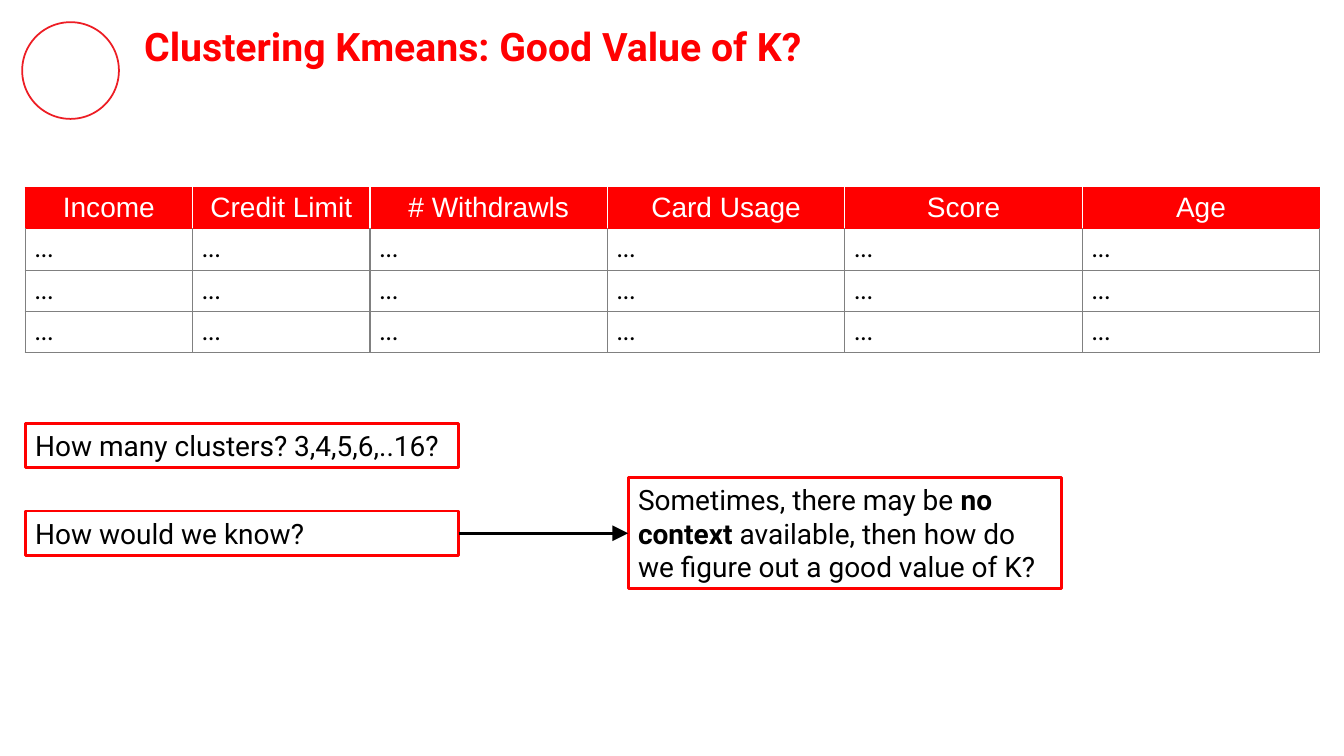
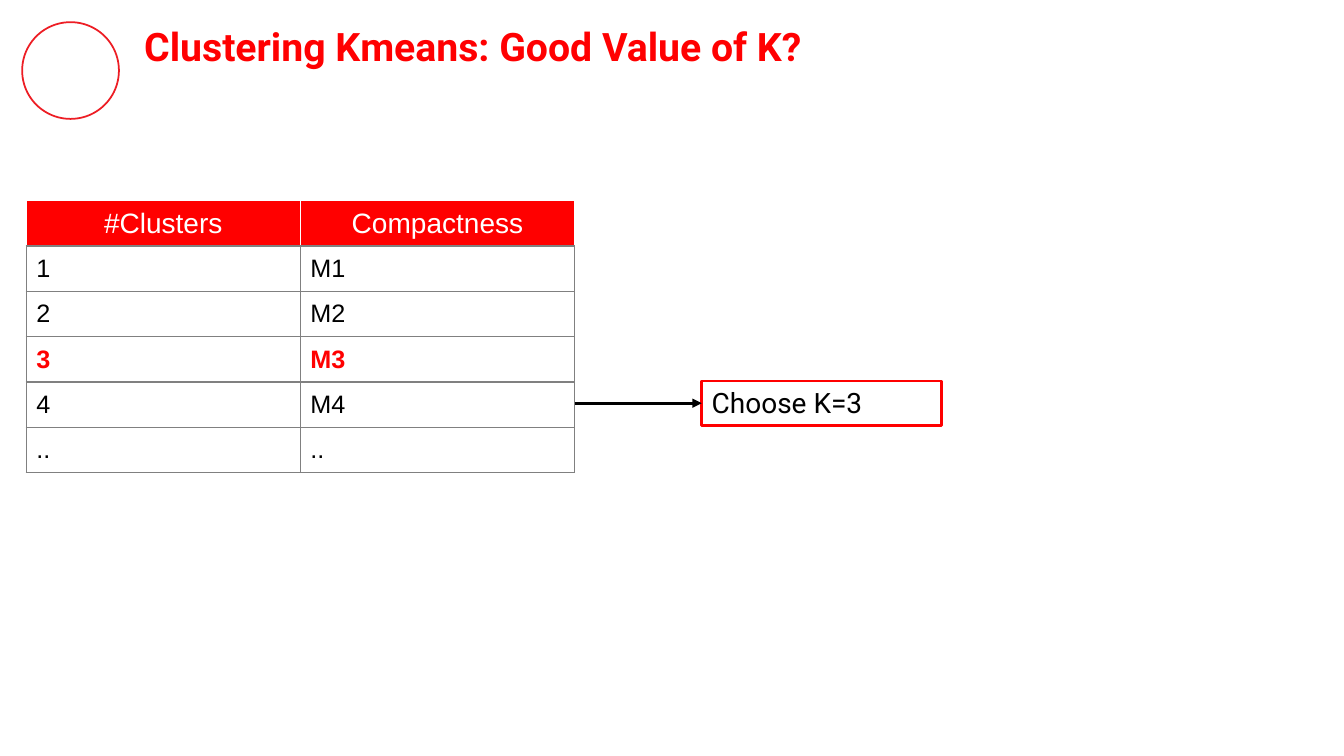
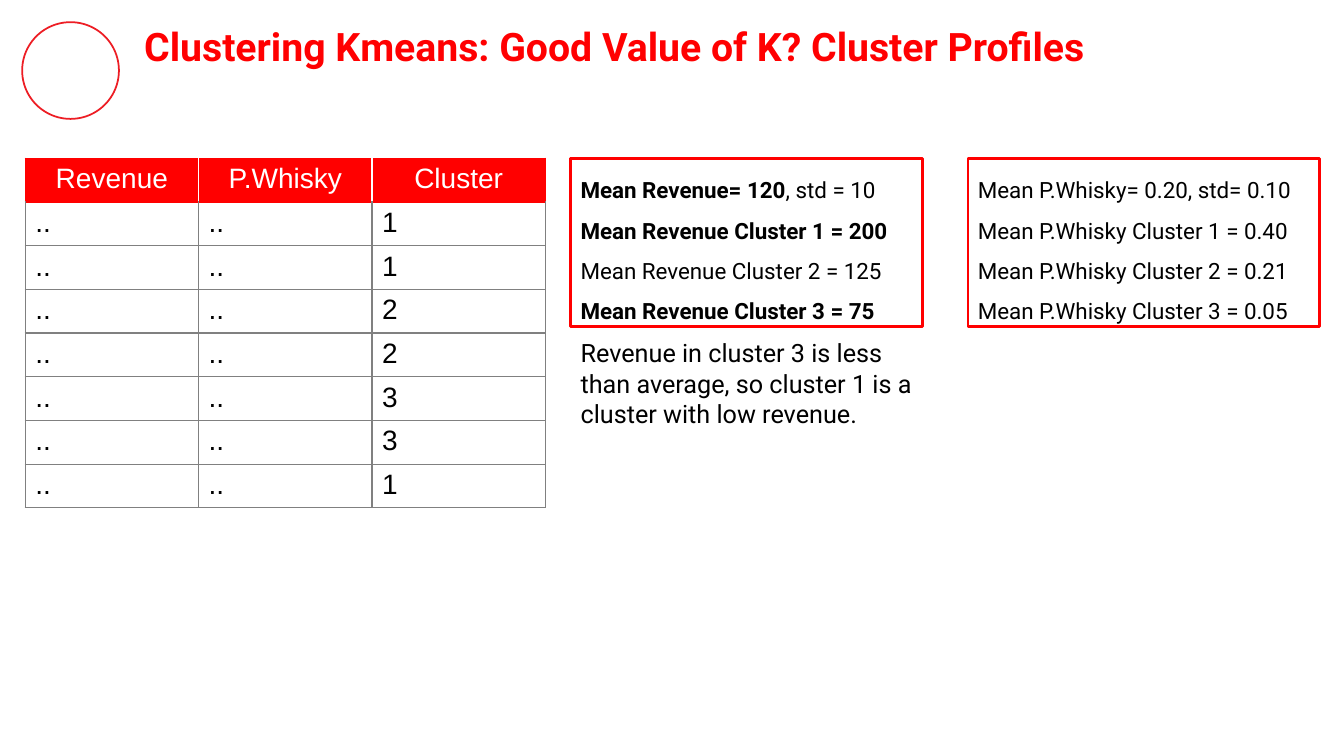
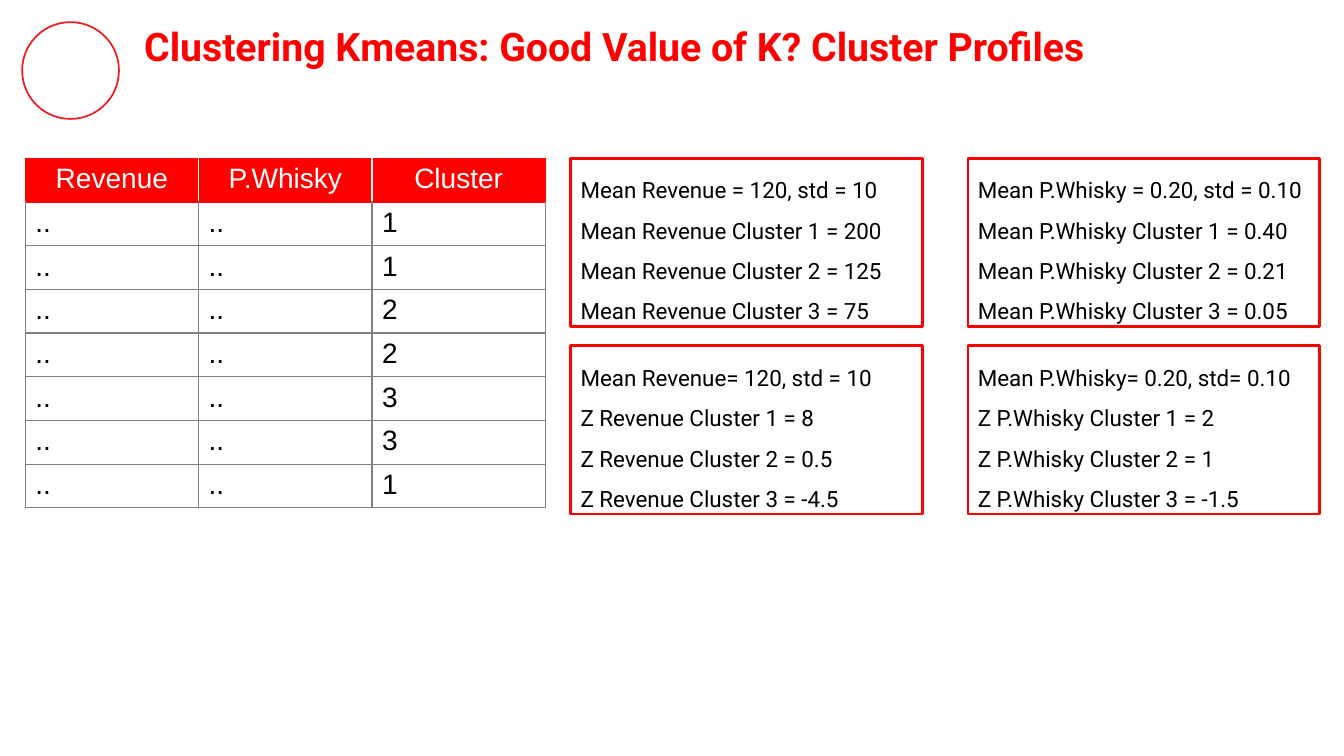
"""Builds four slides on choosing a good value of K in K-means clustering."""
from pptx import Presentation
from pptx.dml.color import RGBColor
from pptx.enum.shapes import MSO_CONNECTOR, MSO_SHAPE
from pptx.enum.text import MSO_ANCHOR, MSO_AUTO_SIZE, PP_ALIGN
from pptx.oxml.ns import qn
from pptx.util import Inches, Pt
from lxml.etree import SubElement

RED = RGBColor(0xFF, 0x00, 0x00)
TITLE_RED = RGBColor(0xFF, 0x00, 0x01)
RING_RED = RGBColor(0xED, 0x1D, 0x24)
WHITE = RGBColor(0xFF, 0xFF, 0xFF)
BLACK = RGBColor(0x00, 0x00, 0x00)
GREY = RGBColor(0x80, 0x80, 0x80)

TITLE = "Clustering Kmeans: Good Value of K?"
PROFILE_TITLE = TITLE + " Cluster Profiles"

CUSTOMERS = [["Income", "Credit Limit", "# Withdrawls", "Card Usage", "Score", "Age"]] + [["…"] * 6] * 3
COMPACTNESS = [["#Clusters", "Compactness"], ["1", "M1"], ["2", "M2"], ["3", "M3"], ["4", "M4"], ["..", ".."]]
ASSIGNED = [["Revenue", "P.Whisky", "Cluster"]] + [["..", "..", c] for c in "1122331"]

WHISKY_MEANS = [
    "Mean P.Whisky Cluster 1 = 0.40",
    "Mean P.Whisky Cluster 2 = 0.21",
    "Mean P.Whisky Cluster 3 = 0.05",
]
HIGHLIGHTED_PROFILES = [[
    [
        "**Mean Revenue= 120**, std = 10",
        "**Mean Revenue Cluster 1 = 200**",
        "Mean Revenue Cluster 2 = 125",
        "**Mean Revenue Cluster 3 = 75**",
    ],
    ["Mean P.Whisky= 0.20, std= 0.10"] + WHISKY_MEANS,
]]
Z_PROFILES = [
    [
        [
            "Mean Revenue = 120, std = 10",
            "Mean Revenue Cluster 1 = 200",
            "Mean Revenue Cluster 2 = 125",
            "Mean Revenue Cluster 3 = 75",
        ],
        ["Mean P.Whisky = 0.20, std = 0.10"] + WHISKY_MEANS,
    ],
    [
        [
            "Mean Revenue= 120, std = 10",
            "Z Revenue Cluster 1 = 8",
            "Z Revenue Cluster 2 = 0.5",
            "Z Revenue Cluster 3 = -4.5",
        ],
        [
            "Mean P.Whisky= 0.20, std= 0.10",
            "Z P.Whisky Cluster 1 = 2",
            "Z P.Whisky Cluster 2 = 1",
            "Z P.Whisky Cluster 3 = -1.5",
        ],
    ],
]
REVENUE_NOTE = "Revenue in cluster 3 is less than average, so cluster 1 is a cluster with low revenue."

LEFT = 0.25
PROFILE_TOP, PROFILE_LEFT = 1.57, 5.66
PROFILE_W, PROFILE_H = 3.49, 1.67
PROFILE_DX, PROFILE_DY = 3.94, 1.86


def style(r, size, color, font="Roboto", bold=False):
    r.font.name = font
    r.font.size = Pt(size)
    r.font.color.rgb = color
    r.font.bold = bold


def prepare_layout(prs):
    layout = prs.slide_layouts[5]
    title = layout.placeholders[0]
    title.left, title.top = Inches(1.33), Inches(0.12)
    title.width, title.height = Inches(11.18), Inches(0.67)
    tf = title.text_frame
    tf.vertical_anchor = MSO_ANCHOR.TOP
    tf.auto_size = MSO_AUTO_SIZE.NONE
    tf.margin_left = tf.margin_right = tf.margin_top = tf.margin_bottom = Inches(0.1)
    return layout


def add_ring(s, layout):
    ring = s.shapes.add_shape(MSO_SHAPE.OVAL, Inches(0.22), Inches(0.22), Inches(0.96), Inches(0.96))
    ring.shadow.inherit = False
    ring.fill.background()
    ring.line.color.rgb = RING_RED
    ring.line.width = Pt(1.25)
    layout.shapes.element.append(ring.element)


def add_slide(prs, layout, title):
    s = prs.slides.add_slide(layout)
    p = s.shapes.title.text_frame.paragraphs[0]
    p.text = title
    p.alignment = PP_ALIGN.LEFT
    style(p.runs[0], 28, TITLE_RED, bold=True)
    return s


def fill_text(tf, lines, size, spacing):
    tf.word_wrap = True
    tf.vertical_anchor = MSO_ANCHOR.TOP
    tf.auto_size = MSO_AUTO_SIZE.SHAPE_TO_FIT_TEXT
    for i, line in enumerate(lines):
        p = tf.add_paragraph() if i else tf.paragraphs[0]
        p.alignment = PP_ALIGN.LEFT
        p.line_spacing = spacing
        for j, part in enumerate(line.split("**")):
            if part:
                r = p.add_run()
                r.text = part
                style(r, size, BLACK, bold=j % 2 == 1)


def add_box(s, x, y, w, h, lines, size=20, spacing=1.0):
    sp = s.shapes.add_shape(MSO_SHAPE.RECTANGLE, Inches(x), Inches(y), Inches(w), Inches(h))
    sp.shadow.inherit = False
    sp.fill.solid()
    sp.fill.fore_color.rgb = WHITE
    sp.line.color.rgb = RED
    sp.line.width = Pt(2)
    fill_text(sp.text_frame, lines, size, spacing)
    return sp


def add_arrow(s, x, y, target, head="med"):
    line = s.shapes.add_connector(MSO_CONNECTOR.STRAIGHT, Inches(x), Inches(y), target.left, Inches(y))
    line.end_connect(target, 1)
    line.line.color.rgb = BLACK
    line.line.width = Pt(2.25)
    SubElement(line.line._get_or_add_ln(), qn("a:tailEnd"), type="triangle", w=head, len=head)
    SubElement(line.element.spPr, qn("a:effectLst"))


def set_borders(cell, colors):
    for side, color in zip("LRTB", colors):
        ln = SubElement(cell._tc.get_or_add_tcPr(), qn("a:ln" + side), w=str(Pt(1)))
        SubElement(SubElement(ln, qn("a:solidFill")), qn("a:srgbClr"), val=str(color))


def add_grid(s, x, y, widths, row_h, rows, edge=RED, base=RED, body=("Arial", 20),
             anchor=MSO_ANCHOR.TOP, strong_row=None):
    table = s.shapes.add_table(len(rows), len(widths), Inches(x), Inches(y),
                               Inches(sum(widths)), Inches(row_h * len(rows))).table
    table.first_row = table.horz_banding = False
    for col, w in zip(table.columns, widths):
        col.width = Inches(w)
    last = len(widths) - 1
    for i, row in enumerate(rows):
        table.rows[i].height = Inches(row_h)
        for j, text in enumerate(row):
            cell = table.cell(i, j)
            if i == 0:
                set_borders(cell, (WHITE if j else edge, WHITE if j < last else edge, edge, base))
            else:
                set_borders(cell, (GREY, GREY, base if i == 1 else GREY, GREY))
            cell.fill.solid()
            cell.fill.fore_color.rgb = WHITE if i else RED
            cell.vertical_anchor = anchor
            p = cell.text_frame.paragraphs[0]
            p.text = text
            if i == 0:
                p.alignment = PP_ALIGN.CENTER
                style(p.runs[0], 20, WHITE, "Arial")
            else:
                strong = i == strong_row
                style(p.runs[0], body[1], RED if strong else BLACK, body[0], strong)


def add_profile_slide(prs, layout, profiles):
    s = add_slide(prs, layout, PROFILE_TITLE)
    add_grid(s, LEFT, PROFILE_TOP, [1.72] * 3, 3.47 / len(ASSIGNED), ASSIGNED)
    for i, row in enumerate(profiles):
        for j, lines in enumerate(row):
            add_box(s, PROFILE_LEFT + j * PROFILE_DX, PROFILE_TOP + i * PROFILE_DY,
                    PROFILE_W, PROFILE_H, lines, 16, 1.5)
    return s


def main():
    prs = Presentation()
    prs.slide_width, prs.slide_height = Inches(13.33), Inches(7.5)
    layout = prepare_layout(prs)

    s = add_slide(prs, layout, TITLE)
    add_ring(s, layout)
    add_grid(s, LEFT, 1.86, [1.66, 1.76] + [2.355] * 4, 0.41, CUSTOMERS, body=("Calibri", 18))
    add_box(s, LEFT, 4.2, 4.3, 0.44, ["How many clusters? 3,4,5,6,..16?"])
    add_box(s, LEFT, 5.07, 4.3, 0.44, ["How would we know?"])
    answer = add_box(s, 6.23, 4.74, 4.3, 1.1, [
        "Sometimes, there may be **no context** available, then how do we figure out a good value of K?"])
    add_arrow(s, LEFT + 4.3, 5.29, answer, "lg")

    s = add_slide(prs, layout, TITLE)
    add_grid(s, 0.26, 1.99, [2.72] * 2, 0.45, COMPACTNESS, WHITE, GREY, ("Arial", 18),
             MSO_ANCHOR.MIDDLE, strong_row=3)
    choice = add_box(s, 6.96, 3.78, 2.38, 0.44, ["Choose K=3"])
    add_arrow(s, 5.7, 4, choice)

    s = add_profile_slide(prs, layout, HIGHLIGHTED_PROFILES)
    note = s.shapes.add_textbox(Inches(PROFILE_LEFT), Inches(3.3), Inches(PROFILE_W), Inches(1.01))
    fill_text(note.text_frame, [REVENUE_NOTE], 18, 1.0)

    add_profile_slide(prs, layout, Z_PROFILES)
    prs.save("out.pptx")


if __name__ == "__main__":
    main()
